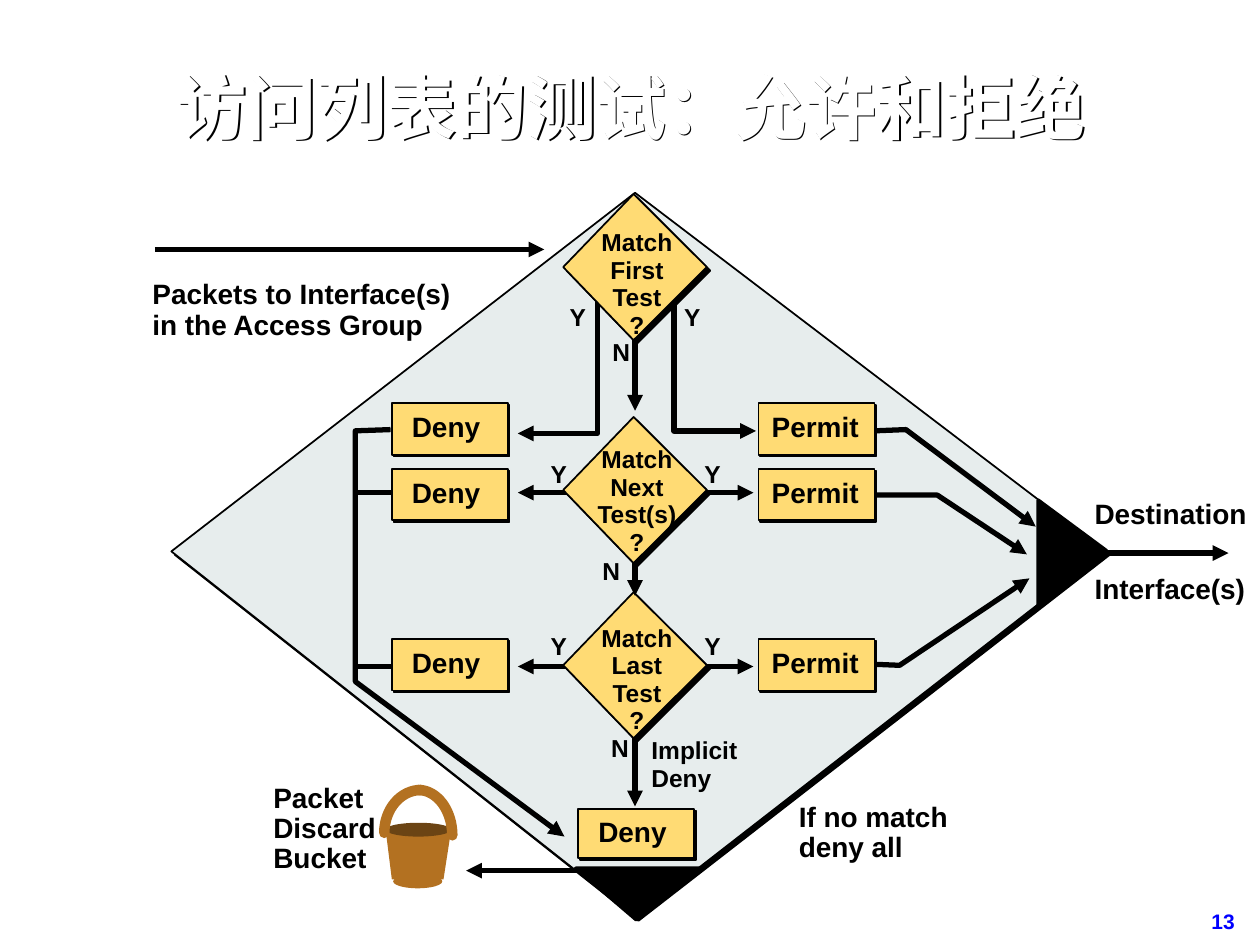
from math import cos, pi, sin

from lxml import etree
from pptx import Presentation
from pptx.dml.color import RGBColor
from pptx.enum.shapes import MSO_CONNECTOR, MSO_SHAPE
from pptx.enum.text import MSO_ANCHOR, MSO_AUTO_SIZE, PP_ALIGN
from pptx.oxml.ns import qn
from pptx.util import Inches, Pt

LEFT, CENTER, RIGHT = PP_ALIGN.LEFT, PP_ALIGN.CENTER, PP_ALIGN.RIGHT
RECT, OVAL, STRAIGHT = MSO_SHAPE.RECTANGLE, MSO_SHAPE.OVAL, MSO_CONNECTOR.STRAIGHT
BLACK = RGBColor(0, 0, 0)
WHITE = RGBColor(255, 255, 255)
BLUE = RGBColor(0, 0, 255)
PALE = RGBColor(0xE7, 0xED, 0xED)
GOLD = RGBColor(0xFF, 0xDB, 0x74)
BROWN = RGBColor(0xB3, 0x71, 0x21)
DARK_BROWN = RGBColor(0x6B, 0x44, 0x14)
FONT = "Arial"
W, H = Inches(10), Inches(7.5)
COLS, ROWS = 100, 75
SMALL_SHADOW, BIG_SHADOW = 1.4, 2.8


def cx(cols):
    return round(W * cols / COLS)


def cy(rows):
    return round(H * rows / ROWS)


def grid(box):
    x, y, w, h = box
    return cx(x), cy(y), cx(w), cy(h)


def add_shadow(sp, dist):
    effects = sp._element.spPr.find(qn("a:effectLst"))
    shadow = etree.SubElement(effects, qn("a:outerShdw"), dist=str(Pt(dist)),
                              dir="2700000", algn="ctr", rotWithShape="0")
    etree.SubElement(shadow, qn("a:srgbClr"), val=str(BLACK))


def paint(sp, fill=None, line=None, width=1, shadow=0):
    if fill is None:
        sp.fill.background()
    else:
        sp.fill.solid()
        sp.fill.fore_color.rgb = fill
    if line is None:
        sp.line.fill.background()
    else:
        sp.line.color.rgb = line
        sp.line.width = Pt(width)
    sp.shadow.inherit = False
    if shadow:
        add_shadow(sp, shadow)
    return sp


def outline(shapes, points, close=False, **look):
    pts = [(cx(x), cy(y)) for x, y in points]
    builder = shapes.build_freeform(*pts[0], scale=1.0)
    builder.add_line_segments(pts[1:], close=close)
    return paint(builder.convert_to_shape(), **look)


def preset(shapes, kind, box, **look):
    return paint(shapes.add_shape(kind, *grid(box)), **look)


def arrowheads(sp, ends):
    for end in ends:
        etree.SubElement(sp.line._get_or_add_ln(), qn("a:" + end), type="triangle")


def route(s, points):
    arrowheads(outline(s.shapes, points, line=BLACK, width=3), ["tailEnd"])


def straight(s, start, end, ends=("tailEnd",)):
    cn = s.shapes.add_connector(STRAIGHT, cx(start[0]), cy(start[1]), cx(end[0]), cy(end[1]))
    cn.line.color.rgb = BLACK
    cn.line.width = Pt(3)
    arrowheads(cn, ends)
    etree.SubElement(cn._element.spPr, qn("a:effectLst"))


def add_run(p, words, size, color):
    r = p.add_run()
    r.text = words
    r.font.size, r.font.bold, r.font.name = Pt(size), True, FONT
    r.font.color.rgb = color


def label(s, box, paragraphs, size=16, spacing=18, align=LEFT, color=BLACK, inset=(0.2, 0.3)):
    tf = s.shapes.add_textbox(*grid(box)).text_frame
    tf.word_wrap = False
    tf.margin_left = tf.margin_right = cx(inset[0])
    tf.margin_top = tf.margin_bottom = cy(inset[1])
    for i, words in enumerate(paragraphs):
        p = tf.add_paragraph() if i else tf.paragraphs[0]
        p.alignment = align
        p.line_spacing = Pt(spacing) if spacing else None
        for j, part in enumerate(words.split("\n")):
            if j:
                p.add_line_break()
            add_run(p, part, size, color)


def letter(s, x, y, words):
    label(s, (x, y, 3.8, 4.4), [words], 14, 15.7)


def title(s, box, words):
    ph = s.shapes.title
    ph.left, ph.top, ph.width, ph.height = grid(box)
    paint(ph, shadow=SMALL_SHADOW)
    tf = ph.text_frame
    tf.auto_size = MSO_AUTO_SIZE.NONE
    tf.word_wrap = True
    tf.vertical_anchor = MSO_ANCHOR.MIDDLE
    tf.margin_left = tf.margin_right = cx(0.9)
    tf.margin_top = tf.margin_bottom = cy(0.4)
    p = tf.paragraphs[0]
    p.alignment = CENTER
    p.line_spacing = 0.9
    add_run(p, words, 40, WHITE)


def rhombus(s, box, fill, middle):
    x, y, w, h = box
    mx, my = x + w * middle[0], y + h * middle[1]
    outline(s.shapes, [(x, my), (mx, y), (x + w, my), (mx, y + h)], close=True,
            fill=fill, line=BLACK, shadow=BIG_SHADOW)


def decision(s, box, paragraphs, drop):
    x, y, w, h = box
    rhombus(s, box, GOLD, (0.49, 0.5))
    label(s, (x + 0.4, y + drop, w - 0.5, 9.5), paragraphs, 14, 15.7, CENTER)


def outcome(s, box, words, drop=0.4):
    x, y, w, h = box
    left, width = {"Deny": (0.8, 7), "Permit": (0.3, 8.4)}[words]
    preset(s.shapes, RECT, box, fill=GOLD, line=BLACK, shadow=SMALL_SHADOW)
    label(s, (x + left, y + drop, width, 4.1), [words], align=CENTER)


def quarter_arc(start, end, rising):
    (x0, y0), (x1, y1) = start, end
    steps = 16
    for i in range(steps + 1):
        a = pi / 2 * i / steps
        u, v = (1 - cos(a), sin(a)) if rising else (sin(a), 1 - cos(a))
        yield x0 + (x1 - x0) * u, y0 + (y1 - y0) * v


def bucket(s, box):
    x, y, w, h = box
    shapes = s.shapes.add_group_shape().shapes
    preset(shapes, OVAL, (x + 0.7, y + h - 1.1, 3.9, 1.1), fill=BROWN)
    body = [(0.1, 3.1), (0.6, 7.1), (4.7, 7.1), (5.3, 3.2)]
    outline(shapes, [(x + dx, y + dy) for dx, dy in body], fill=BROWN)
    preset(shapes, OVAL, (x + 0.1, y + 2.6, 5.2, 1.1), fill=DARK_BROWN)
    for start, end, rising in [((0, 3.4), (2.9, 0), True), ((2.7, 0), (w, 3.6), False)]:
        arc = quarter_arc((x + start[0], y + start[1]), (x + end[0], y + end[1]), rising)
        handle = outline(shapes, list(arc), line=BROWN, width=6)
        handle.line._get_or_add_ln().set("cap", "rnd")


def frame(s, box):
    rhombus(s, box, PALE, (0.496, 0.495))
    for corner in ([(82.4, 48), (87.8, 43.7), (82.4, 39.7)],
                   [(45.7, 68.9), (50.5, 73), (55.7, 68.9)]):
        outline(s.shapes, corner, close=True, fill=BLACK, line=BLACK, width=2)


def flows(s):
    straight(s, (12.3, 19.8), (43.2, 19.8))
    straight(s, (46.1, 69.1), (37, 69.1))
    straight(s, (87.7, 43.9), (97.5, 43.9))
    for points in ([(53.5, 22.3), (53.5, 34.2), (60, 34.2)],
                   [(47.4, 20.9), (47.4, 34.4), (41.1, 34.4)],
                   [(31, 34.1), (28.2, 34.2), (28.2, 54.1), (44.8, 66.4)],
                   [(69.4, 34.2), (71.9, 34.1), (82.2, 41.8)],
                   [(69.5, 39.3), (74.4, 39.3), (81.5, 44)],
                   [(68.9, 52.7), (71.4, 52.8), (81.7, 45.9)]):
        route(s, points)
    for y in (39.1, 52.9):
        straight(s, (41.1, y), (59.8, y), ("headEnd", "tailEnd"))
        straight(s, (31, y), (28.1, y), ())


def tests(s, x):
    for y, paragraphs, drop in [(15.4, ["Match", "First", "Test", "?"], 2.5),
                                (33.1, ["Match", "Next", "Test(s)", "?"], 2),
                                (47, ["Match", "Last", "Test\n?"], 2.3)]:
        decision(s, (x, y, 11.4, 11.6), paragraphs, drop)
    for top, bottom in [(27, 32.6), (44.7, 47.3), (58.6, 64)]:
        straight(s, (50.4, top), (50.4, bottom))
    for left, y, words in [(45, 23.8, "Y"), (54.1, 23.8, "Y"), (48.4, 26.6, "N"),
                           (43.5, 36.3, "Y"), (55.7, 36.3, "Y"), (47.6, 44, "N"),
                           (43.5, 49.9, "Y"), (55.7, 49.9, "Y"), (48.3, 58, "N")]:
        letter(s, left, y, words)


def outcomes(s):
    for x, words in [(31.1, "Deny"), (60.2, "Permit")]:
        for y in (32, 37.2, 50.7):
            outcome(s, (x, y, 9.2, 4.1), words)
    outcome(s, (45.9, 64.2, 9.2, 3.9), "Deny", 0.3)


def captions(s):
    label(s, (11.9, 21.8, 28.3, 7.2), ["Packets to Interface(s)", "in the Access Group"])
    label(s, (21.5, 62, 9.4, 6.9), ["Packet \nDiscard", "Bucket"], spacing=16.9)
    label(s, (63.2, 63.5, 15.4, 6.9), ["If no match", "deny all"], spacing=16.9)
    label(s, (51.5, 58.2, 10.3, 6.3), ["Implicit", "Deny"], 14, 15.7)
    label(s, (85.8, 39.3, 14.2, 4.7), ["Destination"], align=CENTER)
    label(s, (85.8, 45.2, 14.1, 4.7), ["Interface(s)"], align=CENTER)
    label(s, (89, 71.7, 9.9, 2.9), ["13"], 12, None, RIGHT, BLUE, (0.9, 0.4))


def main():
    prs = Presentation()
    prs.slide_width, prs.slide_height = W, H
    s = prs.slides.add_slide(prs.slide_layouts[5])
    title(s, (8.4, 2.6, 83.4, 12.5), "访问列表的测试：允许和拒绝")
    frame(s, (13.6, 15.3, 74.2, 57.5))
    flows(s)
    bucket(s, (30.5, 62.7, 5.4, 7.8))
    tests(s, 44.7)
    outcomes(s)
    captions(s)
    prs.save("out.pptx")


if __name__ == "__main__":
    main()
